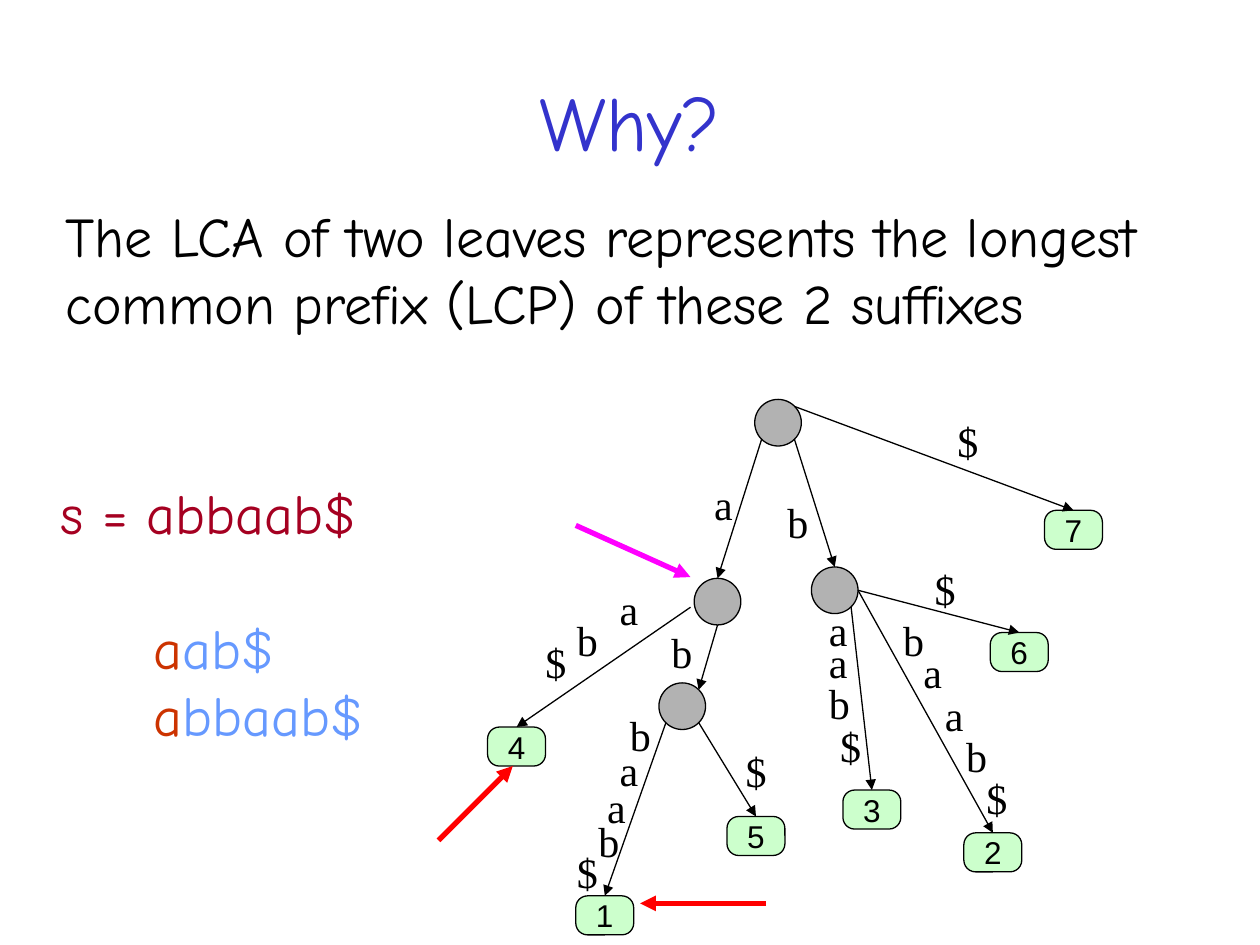
from lxml.etree import SubElement
from pptx import Presentation
from pptx.dml.color import RGBColor
from pptx.enum.shapes import MSO_CONNECTOR, MSO_SHAPE
from pptx.enum.text import MSO_ANCHOR, MSO_AUTO_SIZE, PP_ALIGN
from pptx.oxml.ns import qn
from pptx.util import Pt

PX = 9144

BLACK = RGBColor(0x00, 0x00, 0x00)
INDIGO = RGBColor(0x33, 0x33, 0xCC)
GRAY = RGBColor(0xB2, 0xB2, 0xB2)
MINT = RGBColor(0xCC, 0xFF, 0xCC)
CRIMSON = RGBColor(0xA5, 0x00, 0x21)
RUST = RGBColor(0xCC, 0x33, 0x00)
SKY = RGBColor(0x66, 0x99, 0xFF)
RED = RGBColor(0xFF, 0x00, 0x00)
MAGENTA = RGBColor(0xFF, 0x00, 0xFF)

HAND = "Comic Neue"
SERIF = "Times New Roman"
SANS = "Arial"

NODE_SIZE = (37, 37)
LEAF_SIZE = (46, 31)
NODES = {"root": (599, 317), "a": (551, 459), "b": (644, 450), "ab": (523, 542)}
LEAVES = {
    "1": (457, 711), "2": (765, 661), "3": (669, 627), "4": (387, 577),
    "5": (577, 648), "6": (786, 502), "7": (829, 405),
}
SITES = {
    "top": (0.5, 0), "bottom": (0.5, 1), "right": (1, 0.5), "upper right": (0.85, 0.15),
    "lower left": (0.15, 0.85), "lower right": (0.85, 0.85), "outer left": (-0.08, 0.62),
}
EDGES = [
    ("root", "lower left", "a", "top", [("a", 557, 375)]),
    ("root", "lower right", "b", "top", [("b", 615, 389)]),
    ("root", "upper right", "7", "top", [("$", 750, 325)]),
    ("a", "outer left", "4", "top", [("a", 482, 458), ("b", 448, 483), ("$", 423, 500)]),
    ("a", "bottom", "ab", "upper right", [("b", 523, 492)]),
    ("ab", "lower left", "1", "top",
     [("b", 490, 558), ("a", 482, 586), ("a", 472, 615), ("b", 465, 642), ("$", 448, 667)]),
    ("ab", "lower right", "5", "top", [("$", 582, 587)]),
    ("b", "lower right", "3", "top",
     [("a", 648, 475), ("a", 648, 500), ("b", 648, 533), ("$", 657, 567)]),
    ("b", "right", "2", "top",
     [("b", 707, 483), ("a", 723, 508), ("a", 740, 542), ("b", 757, 575), ("$", 773, 608)]),
    ("b", "right", "6", "top", [("$", 732, 442)]),
]
POINTERS = [
    ((348, 667), (407, 608), RED),
    ((608, 717), (508, 717), RED),
    ((457, 417), (548, 458), MAGENTA),
]


def scaled(*lengths):
    """Turn px lengths into EMU."""
    return [round(length * PX) for length in lengths]


def add_span(para, text, font, size, color):
    """Append one formatted run to a paragraph."""
    span = para.add_run()
    span.text = text
    span.font.name = font
    span.font.size = Pt(size)
    span.font.color.rgb = color


def add_title(page, text):
    """Place and format the title placeholder."""
    title = page.shapes.title
    title.left, title.top, title.width, title.height = scaled(75, 33, 850, 125)
    frame = title.text_frame
    frame.auto_size = MSO_AUTO_SIZE.NONE
    frame.vertical_anchor = MSO_ANCHOR.MIDDLE
    para = frame.paragraphs[0]
    para.alignment = PP_ALIGN.CENTER
    add_span(para, text, HAND, 44, INDIGO)


def add_text(page, bounds, text, font, size, color=BLACK):
    """Add a wrapping text box with one run and return its frame."""
    frame = page.shapes.add_textbox(*scaled(*bounds)).text_frame
    frame.word_wrap = True
    add_span(frame.paragraphs[0], text, font, size, color)
    return frame


def add_suffixes(page):
    """Show the string and the two suffixes with their shared prefix marked."""
    frame = add_text(page, (38, 375, 261, 277), "s = abbaab$", HAND, 32, CRIMSON)
    frame.margin_right = 0
    for rest, gap in (("ab$", 38.5), ("bbaab$", 0)):
        para = frame.add_paragraph()
        para.space_before = Pt(gap)
        properties = para._p.get_or_add_pPr()
        properties.set("marL", str(74 * PX))
        properties.set("indent", "0")
        add_span(para, "a", HAND, 32, RUST)
        add_span(para, rest, HAND, 32, SKY)


def add_tree_shape(page, kind, position, size, fill):
    """Add one outlined shape of the tree."""
    shape = page.shapes.add_shape(kind, *scaled(*position, *size))
    shape.shadow.inherit = False
    shape.fill.solid()
    shape.fill.fore_color.rgb = fill
    shape.line.color.rgb = BLACK
    shape.line.width = Pt(0.75)
    return shape


def add_leaf(page, number, position):
    """Add a numbered leaf."""
    leaf = add_tree_shape(page, MSO_SHAPE.ROUNDED_RECTANGLE, position, LEAF_SIZE, MINT)
    leaf.adjustments[0] = 0.3
    frame = leaf.text_frame
    frame.word_wrap = False
    frame.vertical_anchor = MSO_ANCHOR.MIDDLE
    para = frame.paragraphs[0]
    para.alignment = PP_ALIGN.CENTER
    add_span(para, number, SANS, 18, BLACK)


def add_arrow(page, start, end, color=BLACK, width=0.75):
    """Add a straight arrow from start to end."""
    arrow = page.shapes.add_connector(MSO_CONNECTOR.STRAIGHT, *scaled(*start, *end))
    arrow.line.color.rgb = color
    arrow.line.width = Pt(width)
    SubElement(arrow.line._get_or_add_ln(), qn("a:tailEnd"), type="triangle")
    SubElement(arrow._element.spPr, qn("a:effectLst"))


def site(name, side):
    """Return the point where an edge meets a node or leaf."""
    (left, top), (width, height) = (
        (NODES[name], NODE_SIZE) if name in NODES else (LEAVES[name], LEAF_SIZE)
    )
    across, down = SITES[side]
    return left + across * width, top + down * height


def add_tree(page):
    """Draw the suffix tree with its edge labels."""
    for position in NODES.values():
        add_tree_shape(page, MSO_SHAPE.OVAL, position, NODE_SIZE, GRAY)
    for number, position in LEAVES.items():
        add_leaf(page, number, position)
    for parent, parent_side, child, child_side, letters in EDGES:
        add_arrow(page, site(parent, parent_side), site(child, child_side))
        for letter, left, top in letters:
            add_text(page, (left, top, 42, 50), letter, SERIF, 24)


def main():
    """Build and save the slide."""
    deck = Presentation()
    deck.slide_width, deck.slide_height = scaled(1000, 750)
    page = deck.slides.add_slide(deck.slide_layouts[5])
    add_title(page, "Why?")
    add_text(
        page, (42, 155, 917, 117),
        "The LCA of two leaves represents the longest common prefix (LCP) of these 2 suffixes",
        HAND, 32,
    )
    add_tree(page)
    add_suffixes(page)
    for start, end, color in POINTERS:
        add_arrow(page, start, end, color, 3)
    deck.save("out.pptx")


if __name__ == "__main__":
    main()
